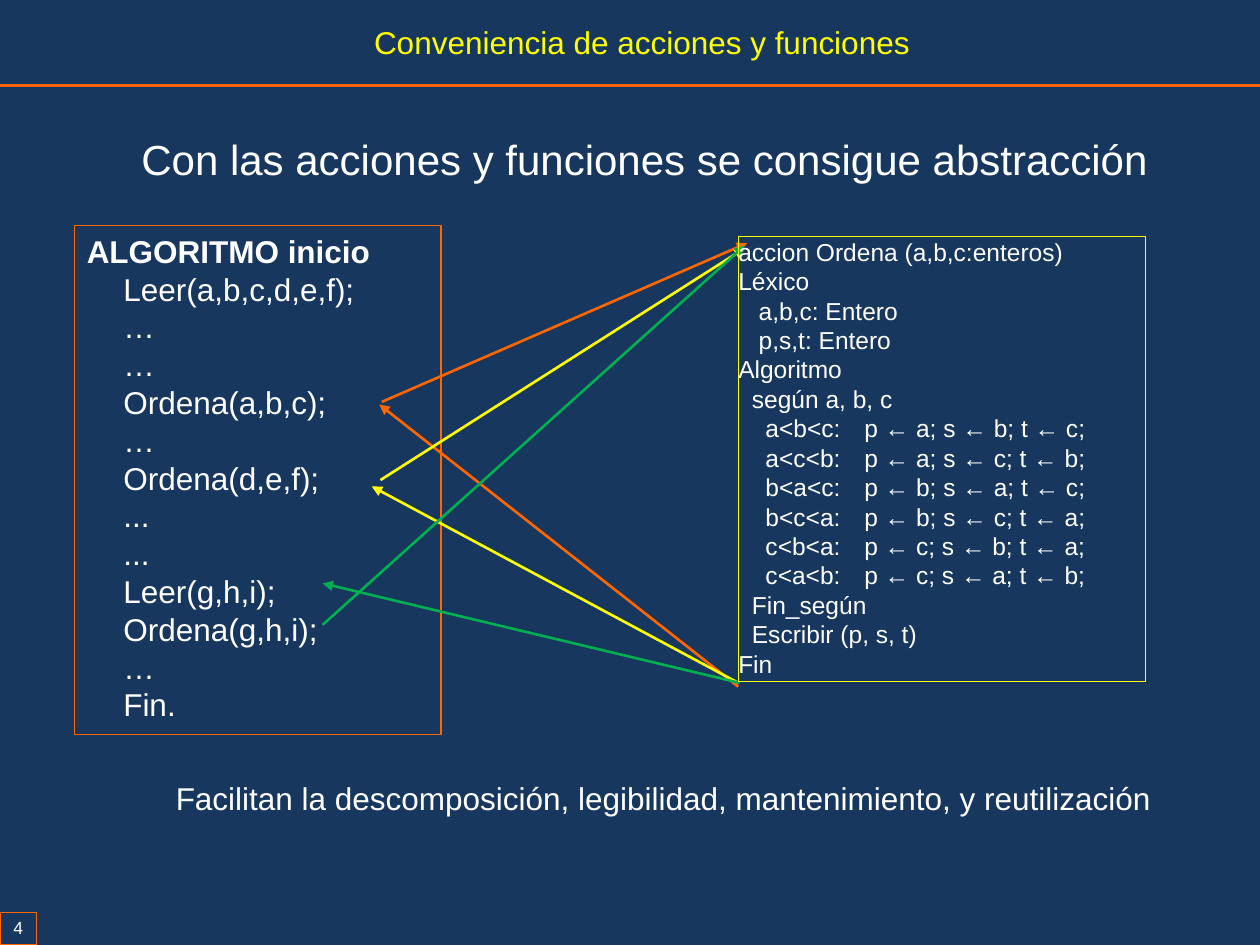
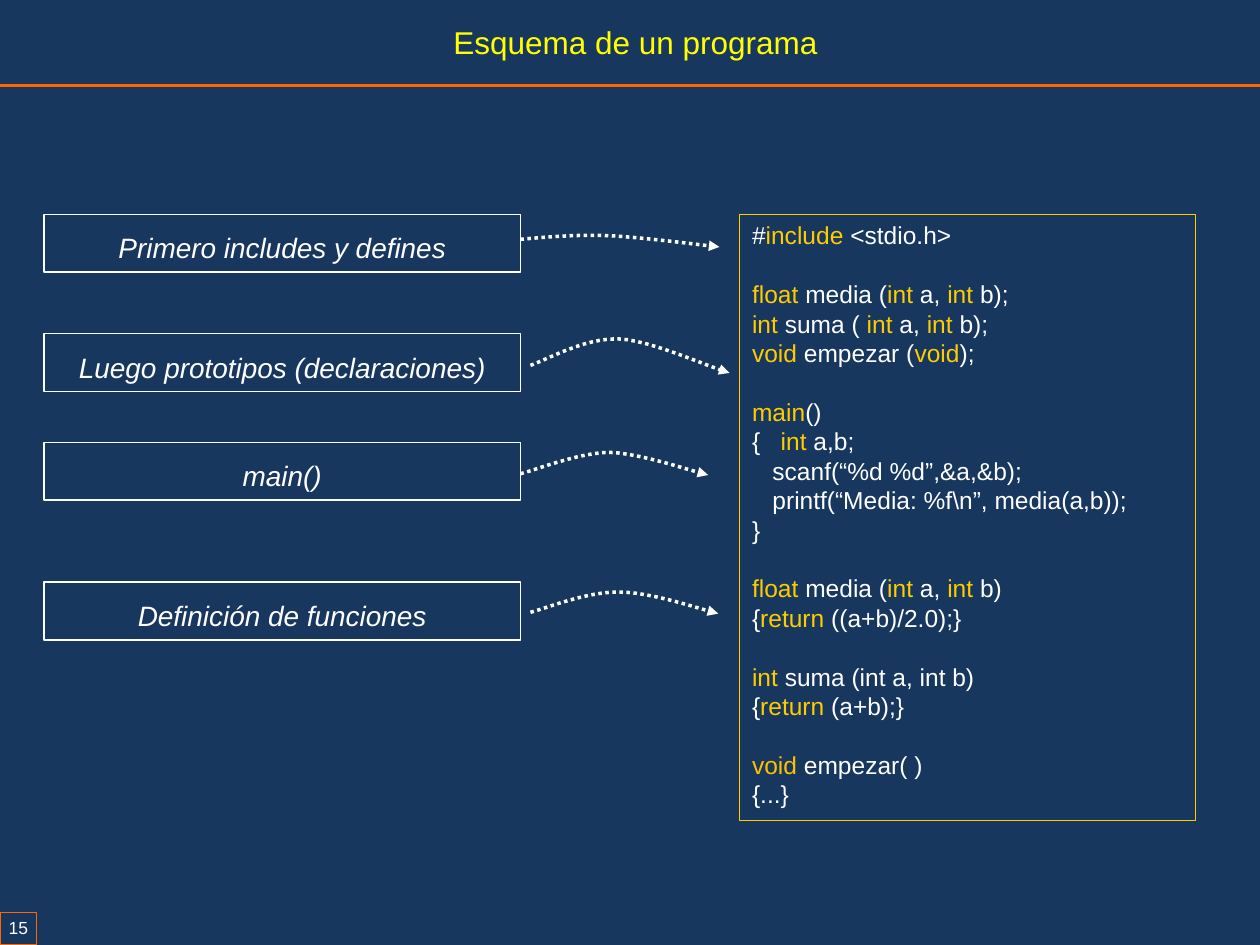
"""Build two slides on actions, functions and the outline of a program."""
from pptx import Presentation, util as u
from pptx.dml.color import RGBColor
from pptx.enum import dml, shapes, text
from pptx.oxml import parse_xml

NAVY, ORANGE, YELLOW, GREEN = "17375E", "FF6600", "FFFF00", "00B050"
WHITE, GOLD, AMBER = "FFFFFF", "FFCC00", "FFC000"
DRAWING = 'xmlns:a="http://schemas.openxmlformats.org/drawingml/2006/main"'


def colour(code):
    return RGBColor.from_string(code)


def write(page, place, lines, size, hue=WHITE, border=None, align="LEFT", wrap=False, inset=(0.1, 0.05)):
    """Place lines of text; parts between bars are gold."""
    place = [u.Inches(value) for value in place]
    if border:
        box = page.shapes.add_shape(shapes.MSO_SHAPE.RECTANGLE, *place)
        box.shadow.inherit = False
        box.fill.background()
        box.line.color.rgb = colour(border)
        box.line.width = u.Pt(0.75)
    else:
        box = page.shapes.add_textbox(*place)
    frame = box.text_frame
    frame.word_wrap = wrap
    frame.vertical_anchor = text.MSO_ANCHOR.TOP
    frame.margin_left = frame.margin_right = u.Inches(inset[0])
    frame.margin_top = frame.margin_bottom = u.Inches(inset[1])
    for number, line in enumerate(lines):
        para = frame.add_paragraph() if number else frame.paragraphs[0]
        para.alignment = getattr(text.PP_ALIGN, align)
        for order, part in enumerate(line.split("|")):
            if part:
                span = para.add_run()
                span.text = part
                span.font.name = "Arial"
                span.font.size = u.Pt(size)
                span.font.color.rgb = colour(GOLD if order % 2 else hue)
    return frame.paragraphs


deck = Presentation()
deck.slide_width, deck.slide_height = u.Inches(10), u.Inches(7.5)
pages, rules, arrows = [], [], []

for title, left, width, number in [
    ("Conveniencia de acciones y funciones", 2.87, 4.49, "4"),
    ("Esquema de un programa", 3.5, 3.12, "15"),
]:
    page = deck.slides.add_slide(deck.slide_layouts[6])
    page.background.fill.solid()
    page.background.fill.fore_color.rgb = colour(NAVY)
    rule = page.shapes.add_connector(
        shapes.MSO_CONNECTOR.STRAIGHT, 0, u.Inches(0.68), deck.slide_width, u.Inches(0.68))
    rule.line.color.rgb = colour(ORANGE)
    rule.line.width = u.Pt(2)
    rules.append(rule)
    write(page, (0, 7.24, 0.29, 0.26), [number], 10, border=ORANGE, align="CENTER", inset=(0.02, 0.04))
    write(page, (left, 0.13, width, 0.4), [title], 18, YELLOW)
    pages.append(page)
abstraction, outline = pages

algorithm = [
    "ALGORITMO inicio", "Leer(a,b,c,d,e,f);", "…", "…", "Ordena(a,b,c);", "…", "Ordena(d,e,f);",
    "...", "...", "Leer(g,h,i);", "Ordena(g,h,i);", "…", "Fin.",
]
steps = write(abstraction, (0.59, 1.79, 2.91, 4.04), algorithm, 18, border=ORANGE, wrap=True)
steps[0].runs[0].font.bold = True
for step in steps[1:]:
    step._p.get_or_add_pPr().set("marL", str(u.Inches(0.29)))

for hue, start, end in [
    (ORANGE, (3.03, 3.19), (5.93, 1.93)),
    (ORANGE, (5.86, 5.45), (3.01, 3.21)),
    (YELLOW, (3.02, 3.81), (5.91, 1.97)),
    (YELLOW, (5.86, 5.42), (2.95, 3.86)),
    (GREEN, (2.56, 4.96), (5.91, 1.95)),
    (GREEN, (5.87, 5.42), (2.56, 4.63)),
]:
    call = abstraction.shapes.add_connector(
        shapes.MSO_CONNECTOR.STRAIGHT, *[u.Inches(value) for value in start + end])
    call.line.color.rgb = colour(hue)
    call.line.width = u.Pt(1.5)
    arrows.append(call)

write(abstraction, (0.98, 1.01, 8.27, 0.5),
      ["Con las acciones y funciones se consigue abstracción"], 24, align="CENTER")
write(abstraction, (1.26, 6.13, 8.01, 0.4),
      ["Facilitan la descomposición, legibilidad, mantenimiento, y reutilización"], 18, align="CENTER")
action = [
    "accion Ordena (a,b,c:enteros)",
    "Léxico",
    "   a,b,c: Entero",
    "   p,s,t: Entero",
    "Algoritmo",
    "  según a, b, c",
    "    a<b<c:\tp ← a; s ← b; t ← c;",
    "    a<c<b: \tp ← a; s ← c; t ← b;",
    "    b<a<c: \tp ← b; s ← a; t ← c;",
    "    b<c<a: \tp ← b; s ← c; t ← a;",
    "    c<b<a: \tp ← c; s ← b; t ← a;",
    "    c<a<b: \tp ← c; s ← a; t ← b;",
    "  Fin_según",
    "  Escribir (p, s, t)",
    "Fin",
]
write(abstraction, (5.86, 1.88, 3.23, 3.53), action, 14, border=YELLOW, wrap=True, inset=(0, 0))

program = [
    ["#|include| <stdio.h>"],
    ["|float| media (|int| a, |int| b);", "|int| suma ( |int| a, |int| b);", "|void| empezar (|void|);"],
    ["|main|()", "{   |int |a,b;", "   scanf(“%d %d”,&a,&b);",
     "   printf(“Media: %f\\n”, media(a,b));", "}"],
    ["|float| media (|int| a, |int| b)", "{|return| ((a+b)/2.0);}"],
    ["|int| suma (int a, int b)", "{|return| (a+b);}"],
    ["|void| empezar( )", "{...}"],
]
code = write(outline, (5.87, 1.7, 3.62, 4.81), sum(program, []), 14, border=GOLD, wrap=True)
first = 0
for block in program[:-1]:
    first += len(block)
    code[first].space_before = u.Pt(16.8)
code[first].runs[0].font.color.rgb = colour(AMBER)

for label, top, curve in [
    ("Primero includes y defines", 1.7,
     [(4.13, 1.9), (4.24, 1.89), (4.54, 1.86), (4.81, 1.87), (5.07, 1.88), (5.52, 1.94), (5.71, 1.96)]),
    ("Luego prototipos (declaraciones)", 2.65,
     [(4.21, 2.9), (4.33, 2.86), (4.64, 2.68), (4.91, 2.69), (5.17, 2.7), (5.64, 2.92), (5.79, 2.96)]),
    ("main()", 3.51,
     [(4.13, 3.76), (4.25, 3.73), (4.6, 3.59), (4.84, 3.59), (5.09, 3.6), (5.46, 3.73), (5.62, 3.77)]),
    ("Definición de funciones", 4.62,
     [(4.21, 4.86), (4.33, 4.83), (4.67, 4.69), (4.92, 4.7), (5.17, 4.7), (5.54, 4.83), (5.7, 4.87)]),
]:
    para = write(outline, (0.35, top, 3.78, 0.46), [label], 16, border=WHITE, align="CENTER", wrap=True)[0]
    para.line_spacing = 1.3
    para.runs[0].font.italic = True
    points = []
    for begin in (0, 3):
        for tick in range(1, 13):
            t = tick / 12
            weights = ((1 - t) ** 3, 3 * t * (1 - t) ** 2, 3 * t ** 2 * (1 - t), t ** 3)
            points.append([
                u.Inches(sum(weight * point[axis] for weight, point in zip(weights, curve[begin:begin + 4])))
                for axis in (0, 1)])
    builder = outline.shapes.build_freeform(*[u.Inches(value) for value in curve[0]])
    builder.add_line_segments(points, close=False)
    pointer = builder.convert_to_shape()
    pointer.fill.background()
    pointer.line.color.rgb = colour(WHITE)
    pointer.line.width = u.Pt(2)
    pointer.line.dash_style = dml.MSO_LINE.ROUND_DOT
    arrows.append(pointer)

for arrow in arrows:
    arrow.line._get_or_add_ln().append(parse_xml(f'<a:tailEnd {DRAWING} type="triangle"/>'))
for stroke in rules + arrows:
    stroke._element.spPr.append(parse_xml(f"<a:effectLst {DRAWING}/>"))

deck.save("out.pptx")
